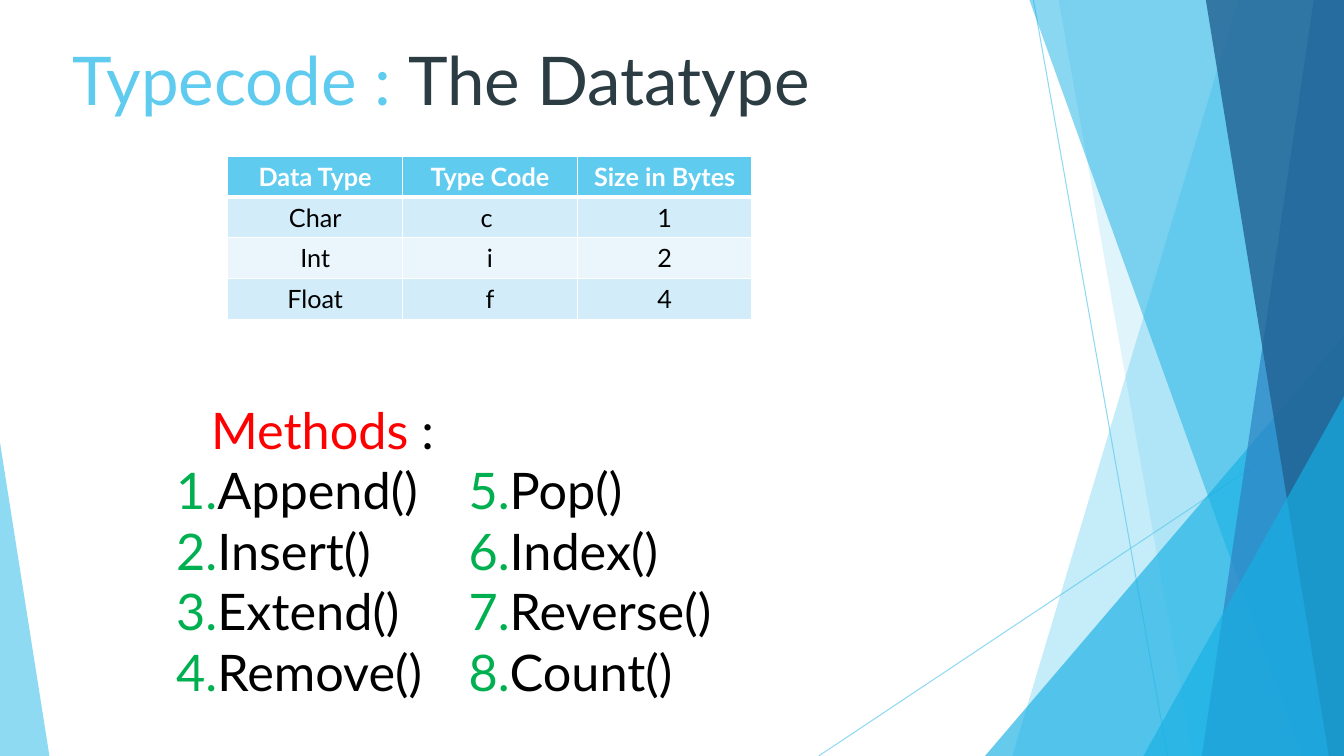
from lxml.etree import SubElement
from pptx import Presentation
from pptx.dml.color import RGBColor
from pptx.enum.shapes import MSO_CONNECTOR, MSO_SHAPE
from pptx.enum.text import MSO_ANCHOR, PP_ALIGN
from pptx.oxml.ns import qn
from pptx.util import Inches, Pt

COLORS = {
    "sky": "5FCBEF", "cyan": "17B0E4", "blue": "2E83C3", "navy": "226292",
    "slate": "2C3C43", "band": "D2ECF9", "pale": "EAF6FC",
    "red": "FF0000", "green": "00B050", "black": "000000", "white": "FFFFFF",
}
WIDTH, HEIGHT = 13.33, 7.5


def add_text(para, text, size=36, color="black", bold=False, align=None):
    span = para.add_run()
    span.text = text
    span.font.name = "Lato"
    span.font.size = Pt(size)
    span.font.bold = bold
    span.font.color.rgb = RGBColor.from_string(COLORS[color])
    if align is not None:
        para.alignment = align


def paint(fill, color, opacity):
    fill.solid()
    fill.fore_color.rgb = RGBColor.from_string(COLORS[color])
    # The public API has no opacity, so it is added to the colour element
    for element in fill._xPr.iter(qn("a:srgbClr")):
        SubElement(element, qn("a:alpha"), val=str(opacity * 1000))


deck = Presentation()
deck.slide_width, deck.slide_height = Inches(WIDTH), Inches(HEIGHT)
page = deck.slides.add_slide(deck.slide_layouts[5])

# Thin crossing lines
for x1, y1, x2, y2 in [(10.25, 0, 11.58, HEIGHT), (WIDTH, 4.03, 8.12, HEIGHT)]:
    line = page.shapes.add_connector(
        MSO_CONNECTOR.STRAIGHT, Inches(x1), Inches(y1), Inches(x2), Inches(y2))
    line.line.width = Pt(0.75)
    paint(line.line.fill, "sky", 70)
    SubElement(line._element.spPr, qn("a:effectLst"))

# Facets: a band gives its top and bottom left corners and runs to the right
# edge; a triangle gives its left, top, width and apex, and stands on the bottom
facets = [
    ("band", (12.28, 10.04), "sky", 36),
    ("band", (10.5, 11.83), "sky", 20),
    ("triangle", (9.77, 3.33, 3.56, 1), "cyan", 66),
    ("band", (10.21, 12.91), "cyan", 50),
    ("band", (13.03, 11.92), "blue", 70),
    ("band", (11.96, 13.18), "navy", 80),
    ("triangle", (11.34, 3.93, 1.99, 1), "cyan", 66),
    ("triangle", (0, 4.39, 0.49, 0), "sky", 70),
]
for kind, geometry, color, opacity in facets:
    if kind == "band":
        top_x, bottom_x = geometry
        builder = page.shapes.build_freeform(Inches(top_x), 0)
        corners = [(WIDTH, 0), (WIDTH, HEIGHT), (bottom_x, HEIGHT)]
        builder.add_line_segments([(Inches(x), Inches(y)) for x, y in corners])
        facet = builder.convert_to_shape()
    else:
        left, top, width, apex = geometry
        facet = page.shapes.add_shape(
            MSO_SHAPE.ISOSCELES_TRIANGLE, Inches(left), Inches(top),
            Inches(width), Inches(HEIGHT - top))
        facet.adjustments[0] = apex
    paint(facet.fill, color, opacity)
    facet.line.fill.background()
    facet.shadow.inherit = False

# Title
title = page.shapes.title
title.left, title.top = Inches(0.62), Inches(0.33)
title.width, title.height = Inches(9.4), Inches(1.44)
title.text_frame.vertical_anchor = MSO_ANCHOR.TOP
heading = title.text_frame.paragraphs[0]
add_text(heading, "Typecode : ", size=48, color="sky", align=PP_ALIGN.LEFT)
add_text(heading, "The Datatype", size=48, color="slate")

# Table of type codes
rows = [
    ("Data Type", "Type Code", "Size in Bytes"),
    ("Char", "c ", "1"),
    ("Int", "i", "2"),
    ("Float", "f", "4"),
]
table = page.shapes.add_table(
    len(rows), 3, Inches(2.26), Inches(1.55), Inches(5.2), Inches(1.62)).table
for row_index, row in enumerate(rows):
    header = row_index == 0
    shade = "sky" if header else ("pale", "band")[row_index % 2]
    for column_index, text in enumerate(row):
        cell = table.cell(row_index, column_index)
        cell.vertical_anchor = MSO_ANCHOR.MIDDLE
        add_text(cell.text_frame.paragraphs[0], text, size=18, bold=header,
                 color="white" if header else "black", align=PP_ALIGN.CENTER)
        for side in "LRTB":
            thick = (row_index, side) in [(0, "B"), (1, "T")]
            border = SubElement(cell._tc.get_or_add_tcPr(), qn(f"a:ln{side}"),
                                w=str(Pt(3 if thick else 1)))
            solid = SubElement(border, qn("a:solidFill"))
            SubElement(solid, qn("a:srgbClr"), val=COLORS["white"])
        cell.fill.solid()
        cell.fill.fore_color.rgb = RGBColor.from_string(COLORS[shade])

# Numbered methods in two columns
columns = [
    (1.65, 3.91, 3.25, 1, ["Append()", "Insert()", "Extend()", "Remove()"]),
    (4.55, 4.51, 2.65, 5, ["Pop()", "Index()", "Reverse()", "Count()"]),
]
for left, top, height, first, methods in columns:
    box = page.shapes.add_textbox(
        Inches(left), Inches(top), Inches(3.1), Inches(height))
    frame = box.text_frame
    frame.word_wrap = True
    para = frame.paragraphs[0]
    if first == 1:
        add_text(para, "Methods", color="red", align=PP_ALIGN.CENTER)
        add_text(para, " :")
        para = frame.add_paragraph()
    for index, method in enumerate(methods):
        if index:
            para = frame.add_paragraph()
        add_text(para, method)
        properties = para._p.get_or_add_pPr()
        properties.set("marL", str(Inches(0.38)))
        properties.set("indent", str(-Inches(0.38)))
        bullet_color = SubElement(properties, qn("a:buClr"))
        SubElement(bullet_color, qn("a:srgbClr"), val=COLORS["green"])
        SubElement(properties, qn("a:buFont"), typeface="Lato")
        SubElement(properties, qn("a:buAutoNum"),
                   type="arabicPeriod", startAt=str(first))

deck.save("out.pptx")
